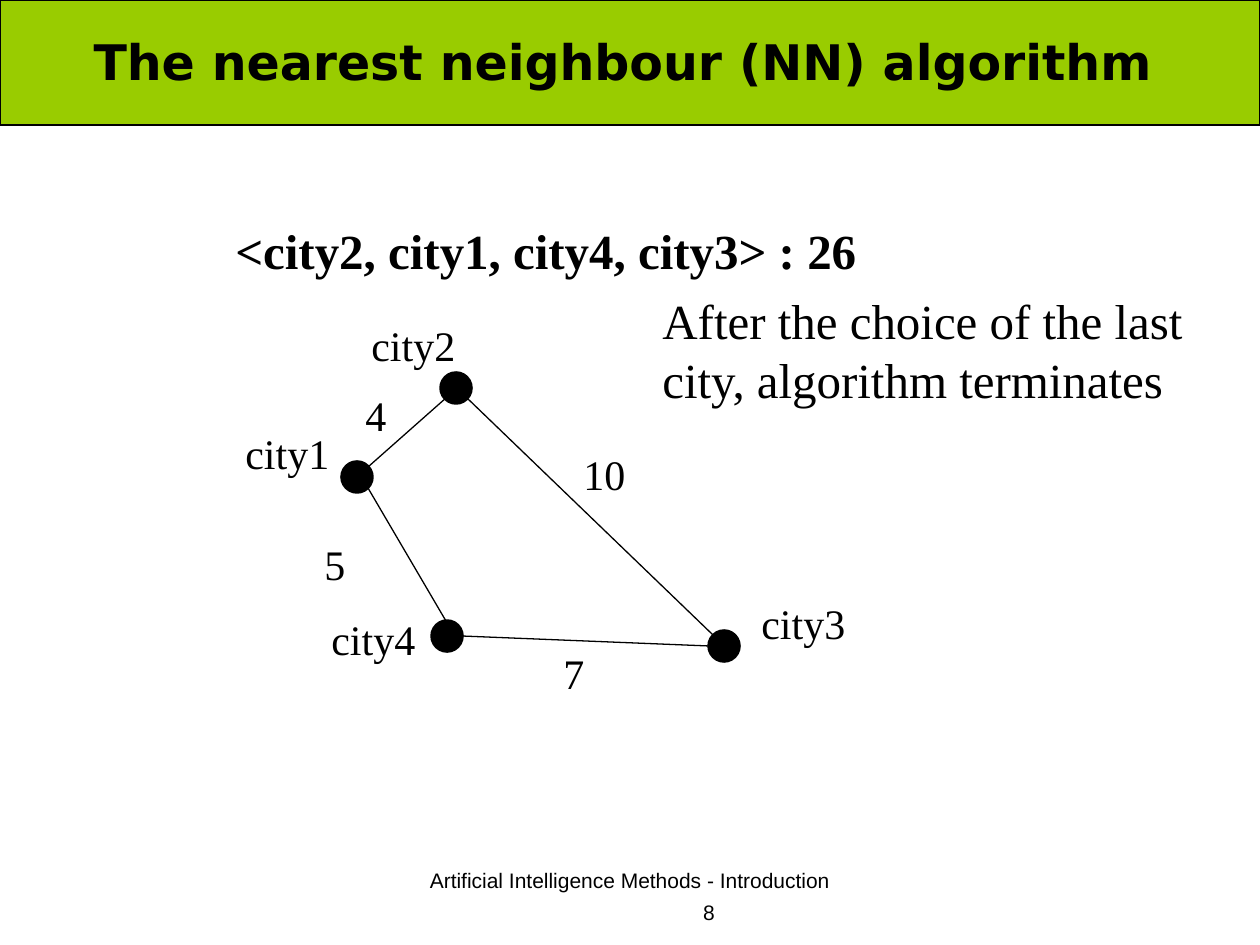
from lxml.etree import SubElement
from pptx import Presentation
from pptx.dml.color import RGBColor
from pptx.enum.shapes import MSO_CONNECTOR as Link, MSO_SHAPE as Shape
from pptx.enum.text import MSO_ANCHOR as Anchor, MSO_AUTO_SIZE as Fit, PP_ALIGN as Align
from pptx.oxml.ns import qn
from pptx.util import Emu, Pt

WIDE, HIGH, DOT = 1260, 945, 30
BLACK, GREEN = "000000", "99CC00"

# name, corner of the dot, corner of the label
CITIES = [
    ("city1", (342, 462), (233, 421)),
    ("city2", (441, 373), (359, 313)),
    ("city3", (709, 631), (749, 591)),
    ("city4", (432, 621), (319, 607)),
]
# length, start, end, corner and width of the label
ROADS = [
    ("4", (446, 398), (368, 467), (353, 383), 49),
    ("5", (368, 488), (446, 621), (312, 532), 49),
    ("7", (461, 636), (709, 646), (551, 641), 49),
    ("10", (467, 398), (713, 635), (571, 442), 73),
]
# text, box, format
TEXTS = [
    ("The nearest neighbour (NN) algorithm ", (64, -34, 1134, 189),
     dict(size=28, font="DejaVu Sans", bold=True, align=Align.CENTER, anchor=Anchor.MIDDLE)),
    ("<city2, city1, city4, city3> : 26", (223, 214, 731, 72),
     dict(size=28, bold=True, wrap=False)),
    ("After the choice of the last city, algorithm terminates", (650, 284, 610, 131),
     dict(size=28)),
    ("8", (362, 893, 694, 46), dict(size=12, font="Arial", align=Align.CENTER)),
    ("Artificial Intelligence Methods - Introduction", (392, 861, 476, 36),
     dict(size=12, font="Arial", align=Align.CENTER)),
]


def px(*nums):
    return [Emu(round(n * 914400 / 126)) for n in nums]


def color(code):
    return RGBColor.from_string(code)


def add_text(text, box, size=24, font="Times New Roman", bold=False,
             align=Align.LEFT, anchor=Anchor.TOP, wrap=True):
    frame = slide.shapes.add_textbox(*px(*box)).text_frame
    frame.word_wrap = wrap
    frame.auto_size = Fit.NONE if wrap else Fit.SHAPE_TO_FIT_TEXT
    frame.vertical_anchor = anchor
    para = frame.paragraphs[0]
    para.alignment = align
    run = para.add_run()
    run.text = text
    run.font.name, run.font.size, run.font.bold = font, Pt(size), bold
    run.font.color.rgb = color(BLACK)


def add_form(kind, box, fill, line):
    form = slide.shapes.add_shape(kind, *px(*box))
    form.shadow.inherit = False
    form.fill.solid()
    form.fill.fore_color.rgb = color(fill)
    form.line.color.rgb = color(BLACK)
    form.line.width = Pt(line)


def add_road(start, end):
    road = slide.shapes.add_connector(Link.STRAIGHT, *px(*start, *end))
    road.line.color.rgb = color(BLACK)
    road.line.width = Pt(0.75)
    SubElement(road._element.spPr, qn("a:effectLst"))


deck = Presentation()
deck.slide_width, deck.slide_height = px(WIDE, HIGH)
slide = deck.slides.add_slide(deck.slide_layouts[6])

add_form(Shape.RECTANGLE, (0, 0, WIDE, 125), GREEN, 0.75)
for name, dot, label in CITIES:
    add_form(Shape.OVAL, (*dot, DOT, DOT), BLACK, 2)
    add_text(name, (*label, 112, 63), wrap=False)
for length, start, end, label, width in ROADS:
    add_road(start, end)
    add_text(length, (*label, width, 63), wrap=False)
for text, box, style in TEXTS:
    add_text(text, box, **style)

deck.save("out.pptx")
